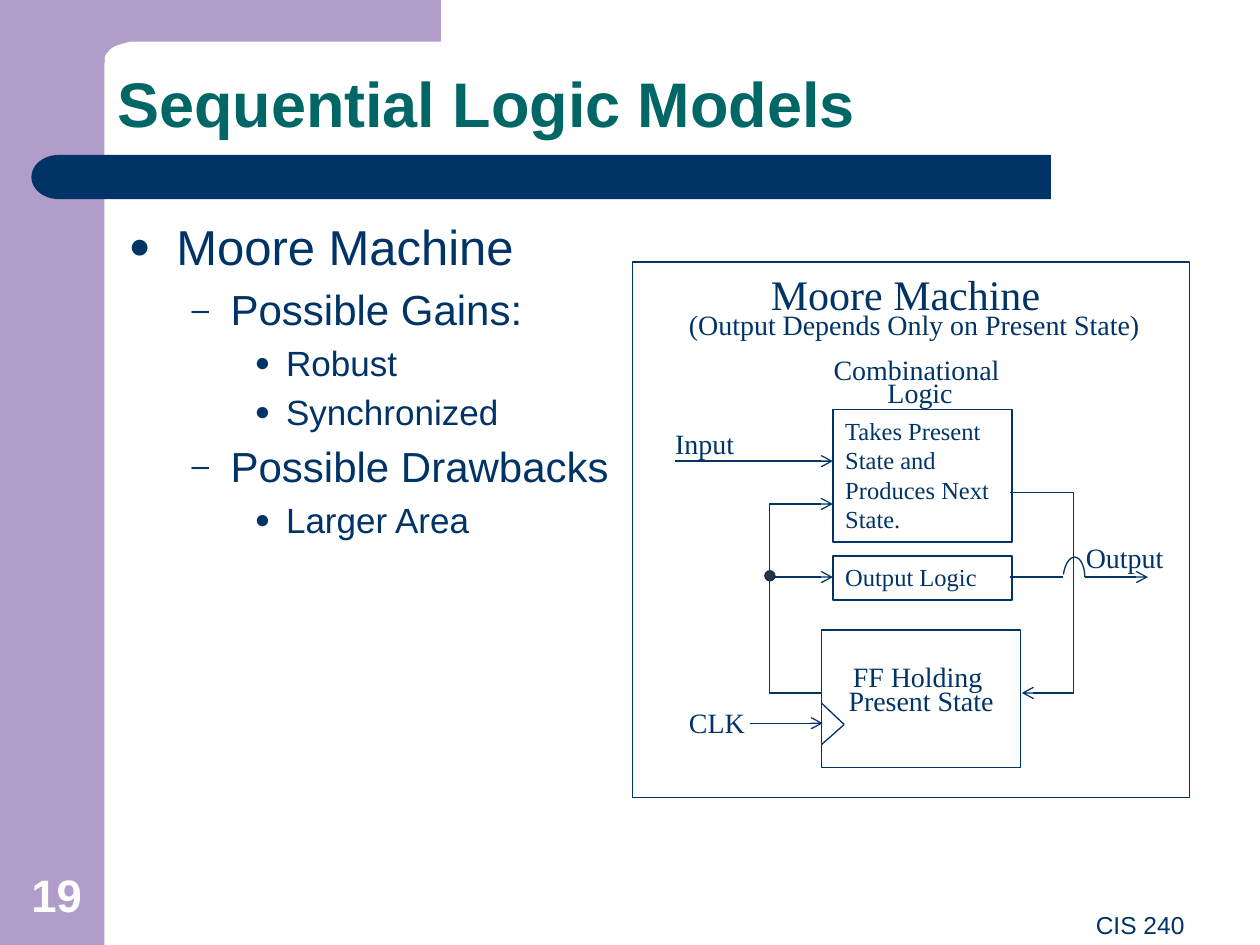
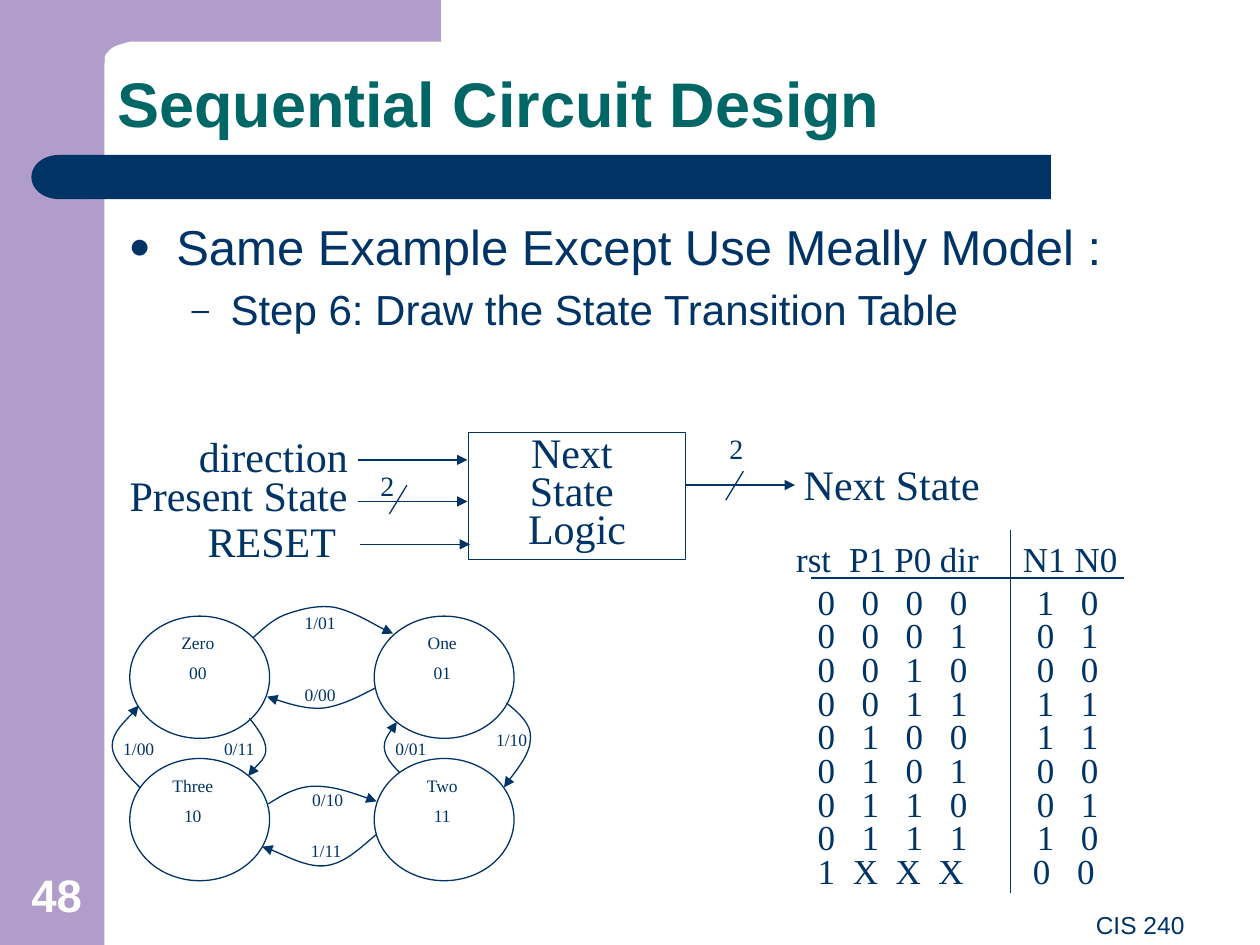
from dataclasses import dataclass
from typing import Any

from lxml import etree
from pptx import Presentation
from pptx.dml.color import RGBColor
from pptx.enum.shapes import MSO_CONNECTOR, MSO_SHAPE
from pptx.enum.text import MSO_ANCHOR, MSO_AUTO_SIZE, PP_ALIGN
from pptx.oxml.ns import qn
from pptx.util import Emu, Pt

EMU_PER_PX = 9144
NAVY = RGBColor(0x00, 0x33, 0x66)
TEAL = RGBColor(0x00, 0x66, 0x66)
LILAC = RGBColor(0xB0, 0x9D, 0xC9)
CHARCOAL = RGBColor(0x33, 0x33, 0x33)
WHITE = RGBColor(0xFF, 0xFF, 0xFF)
SANS, SERIF = "Arial", "Times New Roman"
LEFT, CENTER, RIGHT = PP_ALIGN.LEFT, PP_ALIGN.CENTER, PP_ALIGN.RIGHT
TOP, BOTTOM = MSO_ANCHOR.TOP, MSO_ANCHOR.BOTTOM
NO_AUTOFIT = MSO_AUTO_SIZE.NONE
RECTANGLE, ROUNDED = MSO_SHAPE.RECTANGLE, MSO_SHAPE.ROUNDED_RECTANGLE
ELLIPSE, DELAY = MSO_SHAPE.OVAL, MSO_SHAPE.FLOWCHART_DELAY
STRAIGHT = MSO_CONNECTOR.STRAIGHT
OPEN, SOLID = "arrow", "triangle"
Point = tuple[int, int]
Area = tuple[int, int, int, int]


@dataclass(frozen=True)
class TextStyle:
    size: int = 16
    font: str = SERIF
    color: RGBColor = NAVY
    bold: bool = False
    align: Any = LEFT
    anchor: Any = TOP
    spacing: float = 1.0
    gap: int = 0
    top_inset: int = 5


@dataclass(frozen=True)
class Label:
    area: Area
    lines: tuple[str, ...]
    style: TextStyle = TextStyle()
    tabs: tuple[tuple[int, ...], ...] = ()


@dataclass(frozen=True)
class Block:
    area: Area
    lines: tuple[str, ...] = ()
    style: TextStyle = TextStyle()
    weight: float = 0.75


@dataclass(frozen=True)
class Wire:
    start: Point
    end: Point
    head: str = ""
    weight: float = 0.75


@dataclass(frozen=True)
class BulletLevel:
    size: int
    margin: int
    hanging: int
    mark: str


@dataclass(frozen=True)
class State:
    name: str
    code: str
    left: int
    top: int
    label_center: int


TITLE = TextStyle(36, SANS, TEAL, True, anchor=BOTTOM, spacing=0.9)
PAGE_NUMBER = TextStyle(26, SANS, WHITE, True, CENTER, BOTTOM)
FOOTER = TextStyle(14, SANS, align=RIGHT)
NOTE = TextStyle(14)
LARGE = TextStyle(24)
TIGHT = TextStyle(align=CENTER, spacing=0.7)
REGISTER = TextStyle(align=CENTER, spacing=0.7, top_inset=31)
LOGIC = TextStyle(24, align=CENTER, spacing=0.75)
STATE = TextStyle(10, align=CENTER, gap=5)
EDGE = TextStyle(10)
HEADER = TextStyle(20)
BITS = TextStyle(20, spacing=0.8)
HEADER_TABS = (42, 78, 114, 180, 221)
BIT_TABS = (35, 70, 105, 174, 209)
RESET_TABS = (28, 62, 96, 171, 206)
LEVELS = (
    BulletLevel(28, 38, 38, "●"),
    BulletLevel(24, 81, 31, "–"),
    BulletLevel(20, 125, 25, "●"),
)


def px(length: int) -> Emu:
    return Emu(length * EMU_PER_PX)


def apply(target: Any, values: dict[str, Any]) -> None:
    for name, value in values.items():
        setattr(target, name, value)


def place(shape: Any, area: Area) -> None:
    apply(shape, dict(zip(("left", "top", "width", "height"), map(px, area))))


def write(paragraph: Any, text: str, style: TextStyle) -> None:
    apply(paragraph, {"alignment": style.align, "line_spacing": style.spacing})
    run = paragraph.add_run()
    run.text = text
    apply(run.font, {"name": style.font, "size": Pt(style.size), "bold": style.bold})
    run.font.color.rgb = style.color


def fill_frame(frame: Any, lines: tuple[str, ...], style: TextStyle) -> None:
    apply(frame, {"word_wrap": True, "auto_size": NO_AUTOFIT, "vertical_anchor": style.anchor,
                  "margin_left": px(10), "margin_right": px(10),
                  "margin_top": px(style.top_inset), "margin_bottom": px(5)})
    for index, line in enumerate(lines):
        paragraph = frame.add_paragraph() if index else frame.paragraphs[0]
        paragraph.space_before = Pt(style.gap if index else 0)
        write(paragraph, line, style)


def add_label(slide: Any, label: Label) -> None:
    frame = slide.shapes.add_textbox(*map(px, label.area)).text_frame
    fill_frame(frame, label.lines, label.style)
    for paragraph, stops in zip(frame.paragraphs, label.tabs):
        tab_list = etree.SubElement(paragraph._p.get_or_add_pPr(), qn("a:tabLst"))
        for stop in stops:
            etree.SubElement(tab_list, qn("a:tab"), pos=str(px(stop)), algn="l")


def paint(shape: Any, fill: RGBColor | None = None, weight: float = 0) -> None:
    shape.shadow.inherit = False
    if fill is None:
        shape.fill.background()
    else:
        shape.fill.solid()
        shape.fill.fore_color.rgb = fill
    if weight:
        shape.line.color.rgb = NAVY
        shape.line.width = Pt(weight)
    else:
        shape.line.fill.background()


def add_preset(slide: Any, kind: Any, area: Area, fill: RGBColor | None = None,
               weight: float = 0) -> Any:
    shape = slide.shapes.add_shape(kind, *map(px, area))
    paint(shape, fill, weight)
    return shape


def add_block(slide: Any, block: Block) -> None:
    shape = add_preset(slide, RECTANGLE, block.area, weight=block.weight)
    if block.lines:
        fill_frame(shape.text_frame, block.lines, block.style)


def add_head(shape: Any, head: str) -> None:
    if head:
        line = shape.element.spPr.find(qn("a:ln"))
        etree.SubElement(line, qn("a:tailEnd"), type=head)


def add_wire(slide: Any, wire: Wire) -> None:
    connector = slide.shapes.add_connector(STRAIGHT, *map(px, wire.start + wire.end))
    connector.line.color.rgb = NAVY
    connector.line.width = Pt(wire.weight)
    add_head(connector, wire.head)
    etree.SubElement(connector.element.spPr, qn("a:effectLst"))


def bend(shape: Any, straight_before: int, curves: int) -> None:
    segments = list(shape.element.iter(qn("a:lnTo")))
    for first in range(straight_before, straight_before + 3 * curves, 3):
        curve = etree.Element(qn("a:cubicBezTo"))
        segments[first].addprevious(curve)
        for segment in segments[first:first + 3]:
            curve.append(segment[0])
            segment.getparent().remove(segment)


def add_outline(slide: Any, points: list[Point], fill: RGBColor | None = None,
                head: str = "") -> Any:
    corners = [(px(x), px(y)) for x, y in points]
    builder = slide.shapes.build_freeform(*corners[0], scale=1.0)
    builder.add_line_segments(corners[1:], close=fill is not None)
    shape = builder.convert_to_shape()
    paint(shape, fill, 0 if fill else 0.75)
    add_head(shape, head)
    return shape


def add_curve(slide: Any, knots: list[Point], head: str = "") -> None:
    bend(add_outline(slide, knots, head=head), 0, len(knots) // 3)


def add_bullets(body: Any, items: list[tuple[int, str]]) -> None:
    place(body, (92, 167, 841, 499))
    frame = body.text_frame
    apply(frame, {"auto_size": NO_AUTOFIT, "vertical_anchor": TOP})
    for index, (depth, text) in enumerate(items):
        level = LEVELS[depth]
        paragraph = frame.add_paragraph() if index else frame.paragraphs[0]
        apply(paragraph, {"level": depth, "space_before": Pt(level.size * 0.2 if index else 0)})
        properties = paragraph._p.get_or_add_pPr()
        properties.set("marL", str(px(level.margin)))
        properties.set("indent", str(-px(level.hanging)))
        color = etree.SubElement(properties, qn("a:buClr"))
        etree.SubElement(color, qn("a:srgbClr"), val=str(NAVY))
        etree.SubElement(properties, qn("a:buSzPct"), val="75000")
        etree.SubElement(properties, qn("a:buFont"), typeface=SANS)
        etree.SubElement(properties, qn("a:buChar"), char=level.mark)
        write(paragraph, text, TextStyle(level.size, SANS))


def add_title(heading: Any, title: str) -> None:
    place(heading, (83, 33, 867, 84))
    geometry = etree.SubElement(heading.element.spPr, qn("a:prstGeom"), prst="roundRect")
    adjustments = etree.SubElement(geometry, qn("a:avLst"))
    etree.SubElement(adjustments, qn("a:gd"), name="adj", fmla="val 21700")
    fill_frame(heading.text_frame, (title,), TITLE)


def add_page(deck: Any, number: str, title: str, items: list[tuple[int, str]]) -> Any:
    slide = deck.slides.add_slide(deck.slide_layouts[1])
    add_preset(slide, RECTANGLE, (0, 0, 83, 750), LILAC)
    corner = add_outline(slide, [
        (350, 0), (350, 33), (116, 33), (111, 33), (103, 33),
        (100, 34), (96, 35), (93, 36), (90, 37), (87, 39), (86, 41), (84, 42), (84, 44), (83, 45),
        (83, 50), (50, 50), (50, 33), (50, 0)], LILAC)
    bend(corner, 4, 3)
    add_preset(slide, ROUNDED, (67, 123, 767, 35), NAVY).adjustments[0] = 0
    cap = add_preset(slide, DELAY, (25, 123, 43, 35), NAVY)
    cap.element.spPr.find(qn("a:xfrm")).set("flipH", "1")
    heading, body = slide.placeholders
    add_title(heading, title)
    add_bullets(body, items)
    add_label(slide, Label((0, 683, 90, 53), (number,), PAGE_NUMBER))
    add_label(slide, Label((342, 717, 608, 52), ("CIS 240",), FOOTER))
    return slide


def draw_moore_machine(slide: Any) -> None:
    for block in (
        Block((502, 208, 442, 425)),
        Block((652, 500, 158, 109), ("FF Holding ", "Present State"), REGISTER),
        Block((661, 441, 142, 35), ("Output Logic",), NOTE, 1),
        Block((661, 325, 142, 105), ("Takes Present State and Produces Next State.",), NOTE, 1),
    ):
        add_block(slide, block)
    for label in (
        Label((602, 208, 267, 50), ("Moore Machine",), LARGE),
        Label((537, 239, 424, 37), ("(Output Depends Only on Present State)",)),
        Label((644, 282, 167, 48), ("Combinational", " Logic"), TIGHT),
        Label((526, 334, 87, 37), ("Input",)),
        Label((852, 424, 87, 37), ("Output",)),
        Label((537, 555, 87, 37), ("CLK",)),
    ):
        add_label(slide, label)
    for wire in (
        Wire((652, 558), (670, 575)),
        Wire((670, 575), (652, 591)),
        Wire((536, 366), (661, 366), OPEN),
        Wire((611, 458), (661, 458), OPEN),
        Wire((844, 458), (802, 458)),
        Wire((861, 458), (911, 458), OPEN),
        Wire((595, 574), (653, 574), OPEN),
    ):
        add_wire(slide, wire)
    add_outline(slide, [(802, 391), (852, 391), (852, 550), (811, 550)], head=OPEN)
    add_outline(slide, [(652, 550), (611, 550), (611, 400), (661, 400)], head=OPEN)
    add_curve(slide, [(844, 456), (845, 448), (849, 442), (853, 442),
                      (857, 442), (861, 449), (861, 458)])
    add_preset(slide, ELLIPSE, (607, 453, 8, 8), CHARCOAL, 0.75)


def draw_next_state_logic(slide: Any) -> None:
    add_block(slide, Block((372, 343, 172, 101), ("Next ", "State ", "Logic"), LOGIC))
    for left, top, width, text in ((148, 337, 173, "direction"), (93, 368, 248, "Present State"),
                                   (155, 404, 168, "RESET"), (628, 359, 185, "Next State")):
        add_label(slide, Label((left, top, width, 50), (text,), LARGE))
    for left, y in ((284, 365), (284, 398), (544, 385), (286, 432)):
        add_wire(slide, Wire((left, y), (left + 87, y), SOLID))
    for slash_left, slash_top, count_left, count_top in ((576, 374, 569, 338),
                                                         (309, 385, 292, 367)):
        add_wire(slide, Wire((slash_left + 14, slash_top), (slash_left, slash_top + 23)))
        add_label(slide, Label((count_left, count_top, 30, 37), ("2",)))


def draw_state_diagram(slide: Any) -> None:
    for state in (State("Zero", "00", 103, 489, 157), State("One", "01", 297, 489, 351),
                  State("Two", "11", 297, 602, 351), State("Three", "10", 103, 602, 153)):
        add_preset(slide, ELLIPSE, (state.left, state.top, 111, 97), weight=0.75)
        add_label(slide, Label((state.label_center - 30, state.top + 8, 60, 52),
                               (state.name, state.code), STATE))
    for text, left, top, knots in (
        ("1/01", 232, 481, [(201, 506), (209, 499), (216, 492), (226, 488), (237, 484),
                            (251, 480), (265, 482), (280, 485), (304, 500), (312, 503)]),
        ("1/10", 384, 574, [(402, 558), (412, 566), (422, 575), (421, 586),
                            (421, 598), (404, 619), (400, 625)]),
        ("1/11", 237, 662, [(299, 662), (286, 673), (274, 685), (259, 687),
                            (244, 689), (217, 674), (208, 672)]),
        ("1/00", 88, 581, [(111, 625), (100, 614), (89, 602), (89, 592),
                           (89, 581), (107, 565), (110, 560)]),
        ("0/00", 232, 538, [(298, 546), (285, 553), (271, 560), (257, 562),
                            (243, 563), (227, 558), (212, 553)]),
        ("0/01", 304, 581, [(317, 613), (311, 607), (305, 600), (305, 593),
                            (305, 587), (310, 580), (315, 573)]),
        ("0/10", 238, 621, [(213, 638), (224, 631), (236, 624), (250, 624),
                            (265, 624), (282, 630), (299, 636)]),
        ("0/11", 168, 581, [(198, 570), (205, 579), (211, 587), (211, 595),
                            (211, 602), (199, 612), (197, 616)]),
    ):
        add_curve(slide, knots, SOLID)
        add_label(slide, Label((left, top, 60, 27), (text,), EDGE))


def draw_transition_table(slide: Any) -> None:
    header = "\t".join(("rst", "P1", "P0", "dir", "N1", "N0"))
    rows = tuple(map("\t".join, ("000010", "000101", "001000", "001111", "010011",
                                 "010100", "011001", "011110", "1XXX00")))
    add_label(slide, Label((622, 422, 308, 43), (header,), HEADER, (HEADER_TABS,)))
    add_label(slide, Label((639, 462, 314, 251), rows, BITS, (BIT_TABS,) * 8 + (RESET_TABS,)))
    add_wire(slide, Wire((644, 459), (892, 459), weight=1))
    add_wire(slide, Wire((802, 421), (802, 709), weight=1))


def main() -> None:
    deck = Presentation()
    apply(deck, {"slide_width": px(1000), "slide_height": px(750)})
    models = add_page(deck, "19", "Sequential Logic Models", [
        (0, "Moore Machine"), (1, "Possible Gains:"), (2, "Robust"), (2, "Synchronized"),
        (1, "Possible Drawbacks"), (2, "Larger Area")])
    draw_moore_machine(models)
    design = add_page(deck, "48", "Sequential Circuit Design", [
        (0, "Same Example Except Use Meally Model :"),
        (1, "Step 6: Draw the State Transition Table")])
    draw_state_diagram(design)
    draw_transition_table(design)
    draw_next_state_logic(design)
    deck.save("out.pptx")


if __name__ == "__main__":
    main()
